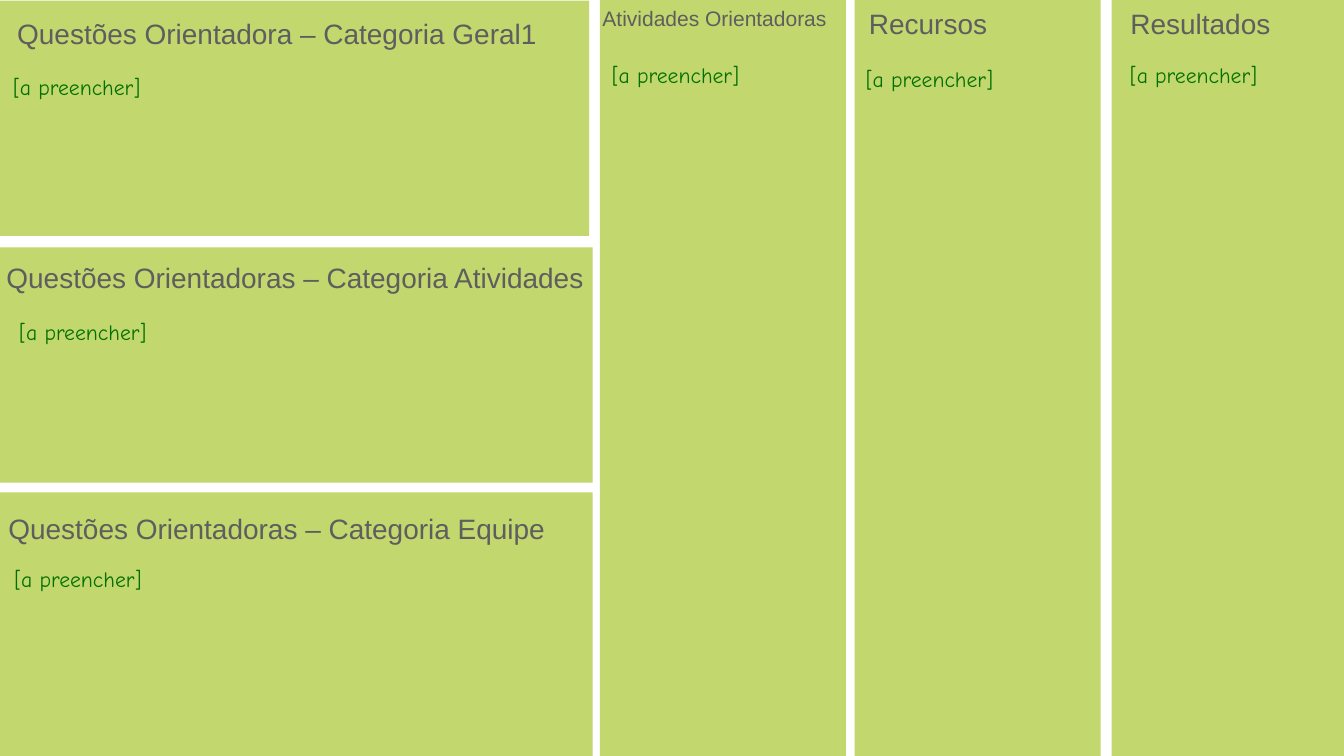
from dataclasses import dataclass

from pptx import Presentation
from pptx.dml.color import RGBColor
from pptx.enum.shapes import MSO_SHAPE
from pptx.enum.text import MSO_ANCHOR, MSO_AUTO_SIZE, PP_ALIGN
from pptx.util import Cm, Pt

RECT = MSO_SHAPE.RECTANGLE
MIDDLE = MSO_ANCHOR.MIDDLE
GROW = MSO_AUTO_SIZE.SHAPE_TO_FIT_TEXT
LEFT, CENTER = PP_ALIGN.LEFT, PP_ALIGN.CENTER

COLORS = {"panel": "C2D76D", "head": "5E5E5E", "note": "027001"}
WIDE, HIGH = 67.74, 38.1
INSET = 0.08
NOTE = "[a preencher]"


@dataclass
class Box:
    left: float
    top: float
    width: float
    height: float


@dataclass
class Panel:
    area: Box
    title: str
    head: Box
    note: Box
    size: int = 40


PANELS = [
    Panel(Box(0, 0.03, 29.69, 11.86), "Questões Orientadora – Categoria Geral1",
          Box(0.64, 0.74, 26.62, 1.85), Box(0.58, 3.56, 31.24, 1.65)),
    Panel(Box(30.23, 0, 12.4, HIGH), "Atividades Orientadoras",
          Box(30.25, 0.2, 11.53, 1.42), Box(30.76, 3.05, 10.87, 1.47), 30),
    Panel(Box(0, 12.47, 29.87, 11.86), "Questões Orientadoras – Categoria Atividades",
          Box(0.05, 13.03, 29.62, 1.85), Box(0.89, 15.9, 31.24, 1.65)),
    Panel(Box(0, 24.82, 29.87, 13.28), "Questões Orientadoras – Categoria Equipe",
          Box(0.2, 25.68, 27.48, 1.85), Box(0.64, 28.37, 31.24, 1.65)),
    Panel(Box(43.08, 0, 12.4, HIGH), "Recursos",
          Box(43.69, 0.23, 6.17, 1.85), Box(43.56, 3.25, 10.87, 1.47)),
    Panel(Box(56.03, 0, 11.71, HIGH), "Resultados",
          Box(56.87, 0.23, 7.26, 1.85), Box(56.87, 3.05, 10.87, 1.47)),
]


def place(shape, box: Box) -> None:
    shape.left, shape.top = Cm(box.left), Cm(box.top)
    shape.width, shape.height = Cm(box.width), Cm(box.height)


def write(shape, text: str, font: str, size: int, color: str, align, wrap: bool) -> None:
    frame = shape.text_frame
    frame.word_wrap = wrap
    frame.auto_size = GROW
    frame.vertical_anchor = MIDDLE
    frame.margin_left = frame.margin_right = Cm(INSET)
    frame.margin_top = frame.margin_bottom = Cm(INSET)
    line = frame.paragraphs[0]
    line.alignment = align
    run = line.add_run()
    run.text = text
    run.font.name = font
    run.font.size = Pt(size)
    run.font.color.rgb = RGBColor.from_string(COLORS[color])


def add_text(slide, box: Box):
    return slide.shapes.add_textbox(
        Cm(box.left), Cm(box.top), Cm(box.width), Cm(box.height))


def add_area(slide, box: Box):
    area = slide.shapes.add_shape(
        RECT, Cm(box.left), Cm(box.top), Cm(box.width), Cm(box.height))
    area.shadow.inherit = False
    area.fill.solid()
    area.fill.fore_color.rgb = RGBColor.from_string(COLORS["panel"])
    area.line.fill.background()
    return area


def main() -> None:
    deck = Presentation()
    deck.slide_width, deck.slide_height = Cm(WIDE), Cm(HIGH)
    slide = deck.slides.add_slide(deck.slide_layouts[5])
    title = slide.shapes.title
    areas = [add_area(slide, panel.area) for panel in PANELS]
    for area in areas:
        title.element.addprevious(area.element)
    for index, panel in enumerate(PANELS):
        head = add_text(slide, panel.head) if index else title
        place(head, panel.head)
        write(head, panel.title, "Arial", panel.size, "head", CENTER, False)
        note = add_text(slide, panel.note)
        write(note, NOTE, "Comic Neue", 31, "note", LEFT, True)
    deck.save("out.pptx")


if __name__ == "__main__":
    main()
